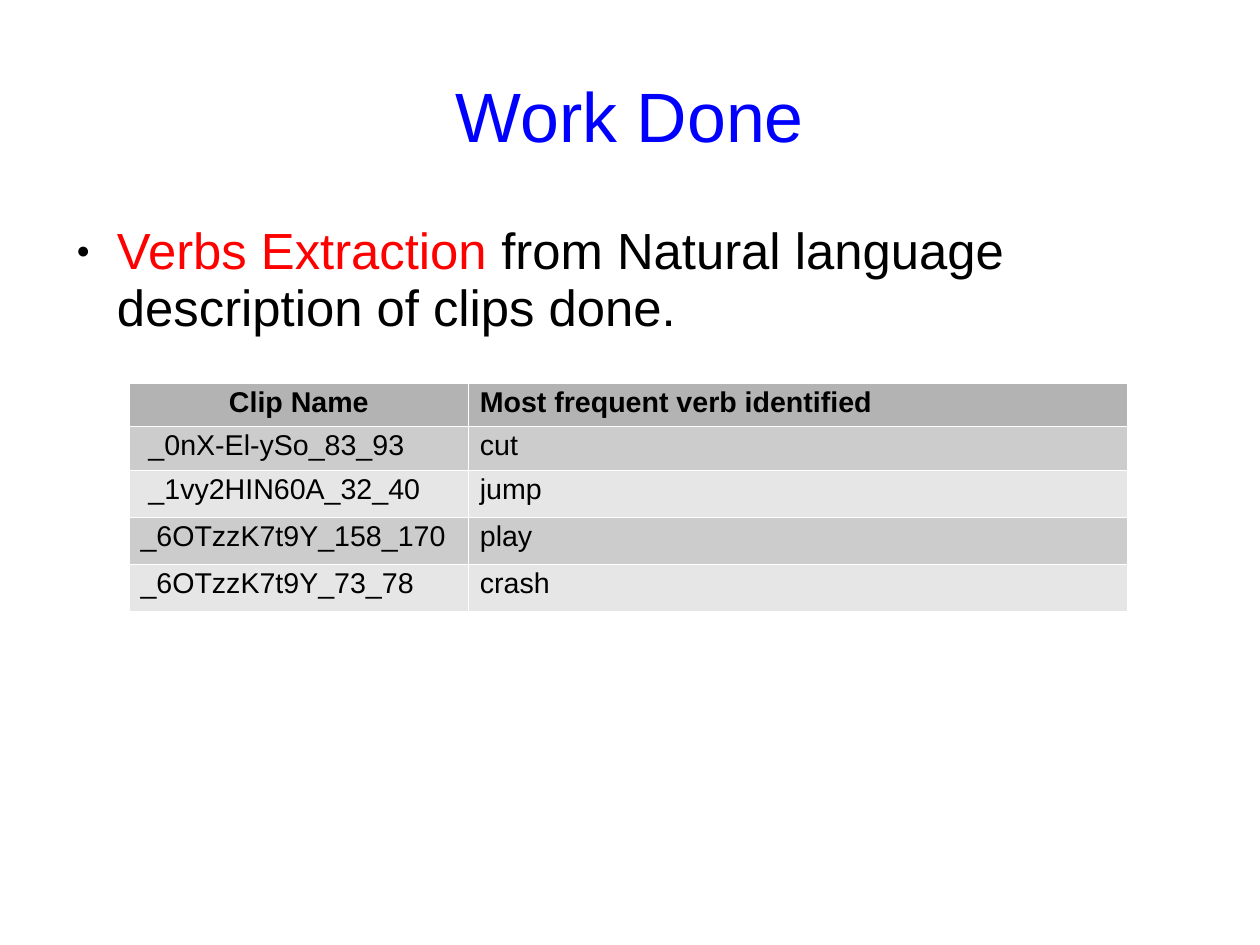
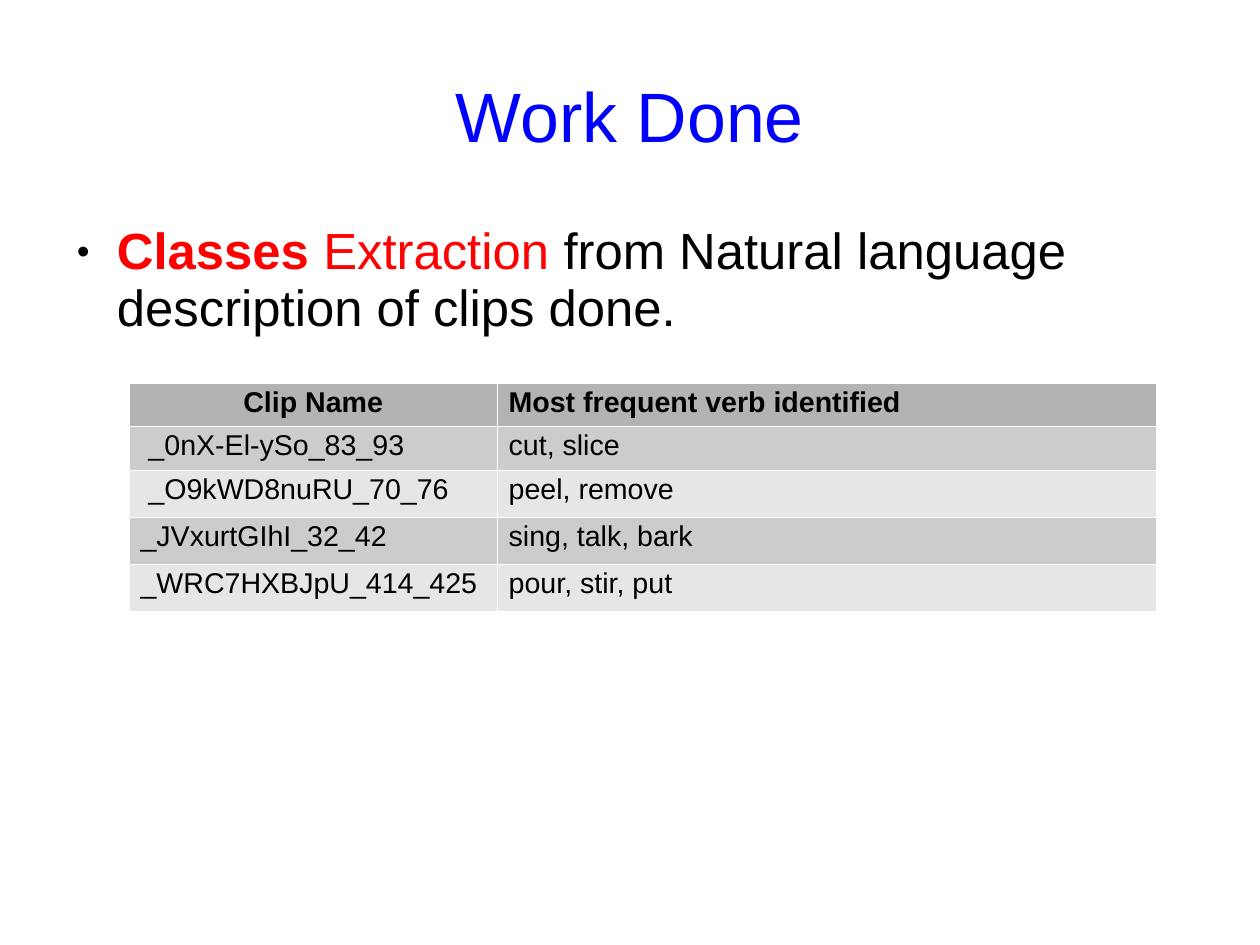
from lxml.etree import SubElement as Sub
from pptx import Presentation
from pptx.dml.color import RGBColor
from pptx.enum.text import MSO_ANCHOR as Anchor, PP_ALIGN as Align
from pptx.oxml.ns import qn
from pptx.util import Cm, Pt

BLUE, RED, BLACK, WHITE = "0000FF", "FF0000", "000000", "FFFFFF"
HEAD, DARK, LIGHT = "B3B3B3", "CCCCCC", "E6E6E6"
FONT = "Arial"
ROWS = [0.96, 0.96, 1.05, 1.05, 1.05]
WIDE = 14.63

SLIDES = [
    ([("Verbs Extraction", RED, False)], 7.54, [
        (" _0nX-El-ySo_83_93", "cut"),
        (" _1vy2HIN60A_32_40", "jump"),
        ("_6OTzzK7t9Y_158_170", "play"),
        ("_6OTzzK7t9Y_73_78", "crash"),
    ]),
    ([("Classes", RED, True), (" Extraction", RED, False)], 8.18, [
        (" _0nX-El-ySo_83_93", "cut, slice"),
        (" _O9kWD8nuRU_70_76", "peel, remove"),
        ("_JVxurtGIhI_32_42", "sing, talk, bark"),
        ("_WRC7HXBJpU_414_425", "pour, stir, put"),
    ]),
]
TAIL = (" from Natural language description of clips done.", BLACK, False)
TITLES = ("Clip Name", "Most frequent verb identified")


def write(para, runs, size, align=Align.LEFT):
    """Fill a paragraph with (text, colour, bold) runs."""
    para.alignment = align
    para.line_spacing = 0.93
    for text, color, bold in runs:
        run = para.add_run()
        run.text = text
        font = run.font
        font.name, font.size, font.bold = FONT, Pt(size), bold
        font.color.rgb = RGBColor.from_string(color)


def add_box(slide, left, top, width, height, inset):
    box = slide.shapes.add_textbox(Cm(left), Cm(top), Cm(width), Cm(height))
    frame = box.text_frame
    frame.word_wrap = True
    frame.margin_left = frame.margin_right = frame.margin_bottom = 0
    frame.margin_top = Cm(inset)
    return frame


deck = Presentation()
deck.slide_width, deck.slide_height = Cm(28), Cm(21)

for lead, first, clips in SLIDES:
    slide = deck.slides.add_slide(deck.slide_layouts[6])

    title = add_box(slide, 1.4, 0.84, 25.2, 3.5, 0.1)
    title.vertical_anchor = Anchor.MIDDLE
    write(title.paragraphs[0], [("Work Done", BLUE, False)], 44, Align.CENTER)

    body = add_box(slide, 1.4, 4.9, 24.64, 12.2, 0.08)
    para = body.paragraphs[0]
    props = para._p.get_or_add_pPr()
    props.set("marL", str(Cm(1.2)))
    props.set("indent", str(Cm(-0.9)))
    Sub(Sub(props, qn("a:buClr")), qn("a:srgbClr"), val=BLACK)
    Sub(props, qn("a:buSzPct"), val="45000")
    Sub(props, qn("a:buFont"), typeface=FONT)
    Sub(props, qn("a:buChar"), char="●")
    para.space_after = Pt(14.3)
    write(para, lead + [TAIL], 32)

    frame = slide.shapes.add_table(len(ROWS), 2, Cm(2.87), Cm(8.51),
                                   Cm(first + WIDE), Cm(sum(ROWS)))
    table = frame.table
    table.first_row = table.horz_banding = False
    for col, width in zip(table.columns, (first, WIDE)):
        col.width = Cm(width)
    for r, texts in enumerate([TITLES] + clips):
        table.rows[r].height = Cm(ROWS[r])
        fill = HEAD if r == 0 else DARK if r % 2 else LIGHT
        for c, text in enumerate(texts):
            cell = table.cell(r, c)
            props = cell._tc.get_or_add_tcPr()
            for side in "LRTB":
                line = Sub(props, qn("a:ln" + side), w=str(Pt(0.06)))
                Sub(Sub(line, qn("a:solidFill")), qn("a:srgbClr"), val=WHITE)
            cell.fill.solid()
            cell.fill.fore_color.rgb = RGBColor.from_string(fill)
            align = Align.CENTER if r == c == 0 else Align.LEFT
            write(cell.text_frame.paragraphs[0], [(text, BLACK, r == 0)],
                  18, align)

deck.save("out.pptx")
